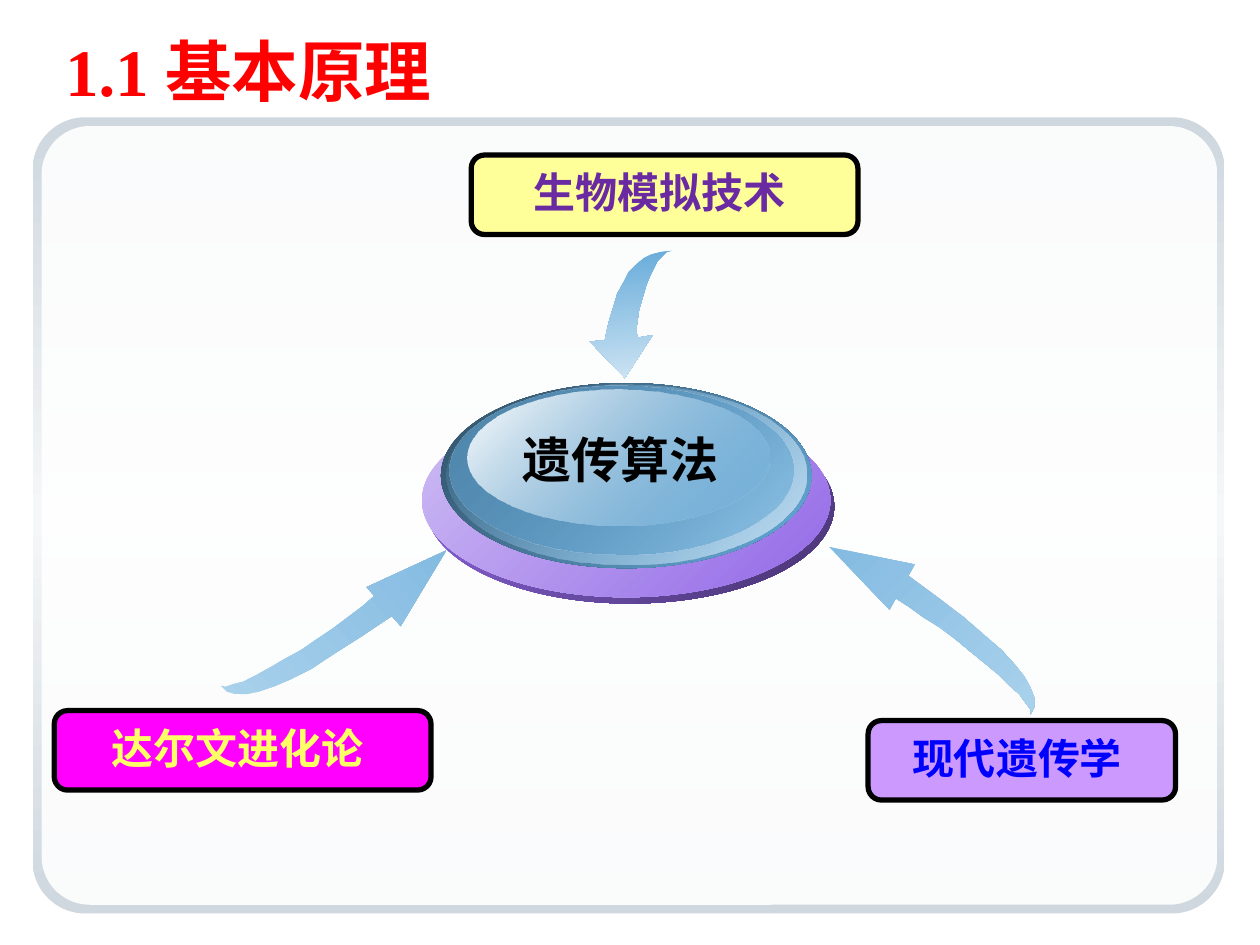
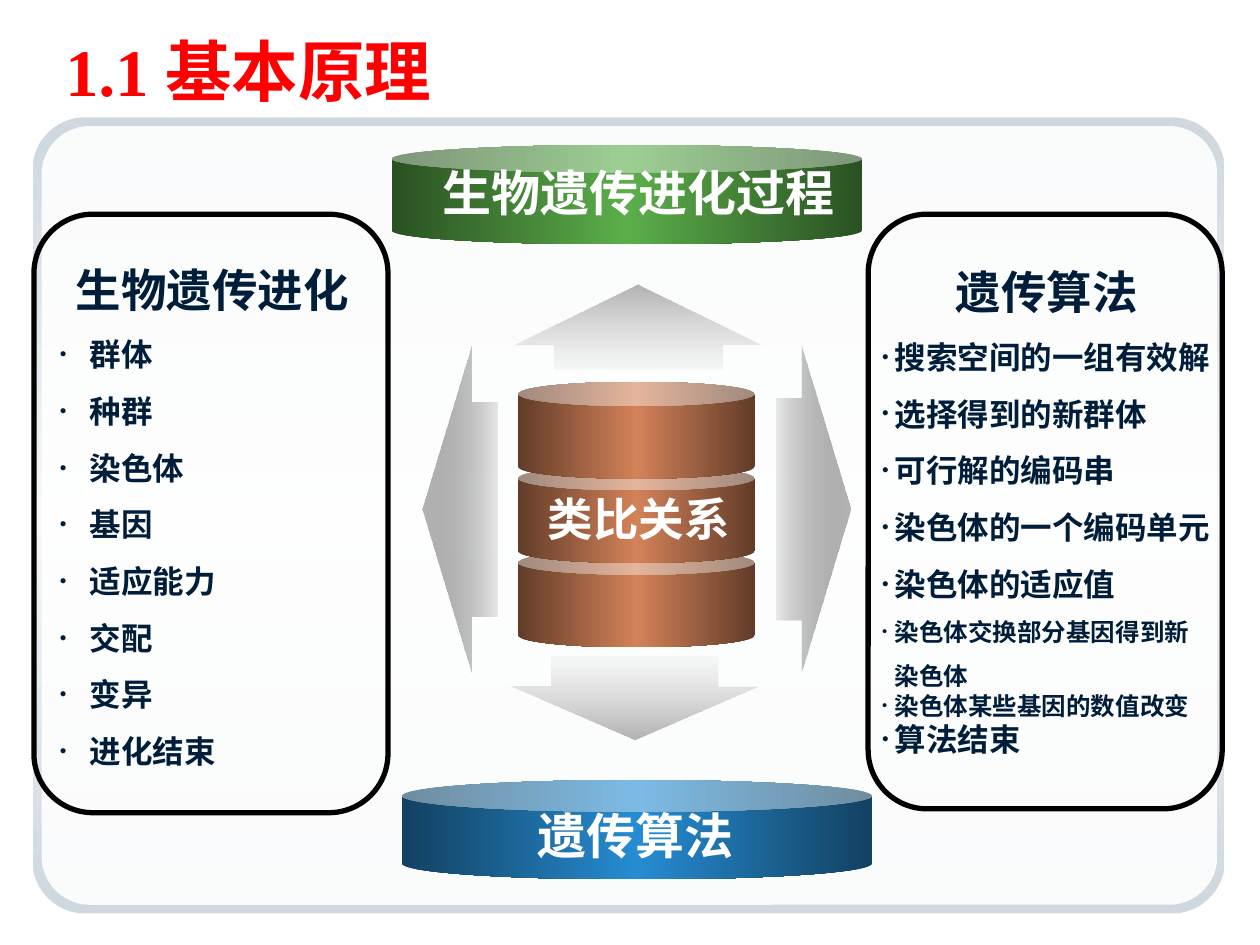
from lxml import etree
from pptx import Presentation
from pptx.dml.color import RGBColor
from pptx.enum.shapes import MSO_SHAPE
from pptx.enum.text import MSO_ANCHOR, MSO_AUTO_SIZE, PP_ALIGN
from pptx.oxml.ns import qn
from pptx.util import Pt

ROUNDED, OVAL, CAN = MSO_SHAPE.ROUNDED_RECTANGLE, MSO_SHAPE.OVAL, MSO_SHAPE.CAN
UP, DOWN = MSO_SHAPE.UP_ARROW, MSO_SHAPE.DOWN_ARROW
LEFT, RIGHT = MSO_SHAPE.LEFT_ARROW, MSO_SHAPE.RIGHT_ARROW
ALIGN_LEFT, ALIGN_CENTER = PP_ALIGN.LEFT, PP_ALIGN.CENTER
TOP, MIDDLE = MSO_ANCHOR.TOP, MSO_ANCHOR.MIDDLE
NO_AUTOFIT = MSO_AUTO_SIZE.NONE
TITLE_ONLY, TWO_CONTENT = 5, 3

COLORS = {
    "title": "FF0000", "black": "000000", "white": "FFFFFF", "navy": "001D3A",
    "frame": "CFD7DF", "frame_mid": "F5F7F8",
    "violet": "9369E7", "violet_dark": "473370", "violet_light": "CFBDF4",
    "sky": "66ABDA", "sky_dark": "2F4F65", "sky_mid": "5187AD",
    "sky_light": "CAE2F2", "sky_pale": "CEE4F3",
    "arrow_head": "84BBE1", "arrow_tail": "A9D1EC",
    "magenta": "FF00FF", "lemon": "FFFF66", "lilac": "CC99FF",
    "blue": "0000FF", "yellow": "FFFF99", "purple": "692AA2",
    "green": "5BAE4A", "green_dark": "2A5122",
    "azure": "268CD2", "azure_dark": "124161",
    "copper": "D38259", "copper_dark": "623C29",
    "silver": "B2B2B2", "silver_light": "CECECE", "gray": "525252",
}
EAST_ASIAN_FONT = "Noto Sans CJK SC"

# Curved arrow outlines, in hundredths of an inch on the slide
GENETICS_ARROW = [
    (818, 567), (821, 561), (821, 554), (818, 546), (813, 537), (805, 527),
    (795, 516), (781, 504), (765, 490), (744, 474), (721, 457), (726, 448),
    (658, 434), (706, 484), (711, 475), (722, 482), (733, 490), (746, 498),
    (758, 507), (770, 517), (781, 526), (792, 535), (801, 544), (809, 551),
    (814, 558), (818, 563)]
SIMULATION_ARROW = [
    (533, 199), (525, 200), (517, 202), (511, 205), (505, 210), (499, 216),
    (495, 224), (490, 233), (487, 243), (483, 256), (480, 270), (468, 271),
    (496, 300), (518, 266), (506, 268), (505, 262), (506, 255), (507, 247),
    (509, 240), (511, 233), (513, 226), (516, 219), (519, 213), (522, 207),
    (526, 203), (529, 200)]
DARWIN_ARROW = [
    (175, 544), (180, 549), (187, 551), (195, 551), (205, 549), (217, 545),
    (231, 539), (247, 531), (265, 519), (287, 505), (311, 489), (318, 497),
    (354, 437), (291, 466), (297, 473), (288, 481), (276, 490), (264, 499),
    (252, 507), (239, 516), (226, 523), (214, 530), (203, 536), (193, 541),
    (185, 543), (179, 545)]


def rgb(name):
    return RGBColor.from_string(COLORS[name])


def write(paragraph, text, *, size, color, font="Arial", align=ALIGN_CENTER,
          line=None, bullet=False, hang=0):
    """Fill a paragraph with one bold run and its format."""
    paragraph.alignment = align
    paragraph.space_before = paragraph.space_after = Pt(0)
    if line:
        paragraph.line_spacing = Pt(line)
    run = paragraph.add_run()
    run.text = text
    run.font.size, run.font.bold, run.font.name = Pt(size), True, font
    run.font.color.rgb = rgb(color)
    latin = run.font._element.find(qn("a:latin"))
    east_asian = etree.Element(qn("a:ea"), typeface=EAST_ASIAN_FONT)
    latin.addnext(east_asian)

    properties = paragraph._p.get_or_add_pPr()
    properties.set("marL", str(Pt(hang)))
    properties.set("indent", str(-Pt(hang)))
    if bullet:
        bullet_color = etree.SubElement(properties, qn("a:buClr"))
        etree.SubElement(bullet_color, qn("a:srgbClr"), val=COLORS[color])
        etree.SubElement(properties, qn("a:buSzPct"), val="60000")
        etree.SubElement(properties, qn("a:buChar"), char="•")
    else:
        etree.SubElement(properties, qn("a:buNone"))


class Deck:
    """Holds the shared style and the slide being drawn."""

    def __init__(self):
        self.file = Presentation()
        self.file.slide_width, self.file.slide_height = Pt(720), Pt(540)
        self.slide = None

    def new_slide(self, layout, title):
        self.slide = self.file.slides.add_slide(self.file.slide_layouts[layout])
        self.shape(ROUNDED, (18.7, 67, 681.1, 455), adjust=[0.066], angle=90,
                   stops=[(0, "frame"), (50, "frame_mid"), (100, "frame")])
        self.shape(ROUNDED, (23.8, 72, 671.8, 445), adjust=[0.062],
                   stops=[(0, "white", 90), (100, "white", 90)])
        frame = self.placeholder(0, (30.2, 17.4, 671.8, 44.6), MIDDLE)
        write(frame.paragraphs[0], title, size=38, color="title",
              font="Times New Roman", align=ALIGN_LEFT)

    def placeholder(self, index, box, anchor):
        """Move a placeholder to its box, in front of what is drawn so far."""
        holder = self.slide.placeholders[index]
        holder.left, holder.top, holder.width, holder.height = map(Pt, box)
        self.slide.shapes._spTree.append(holder._element)
        frame = holder.text_frame
        frame.auto_size, frame.vertical_anchor = NO_AUTOFIT, anchor
        frame.word_wrap = True
        return frame

    def paint(self, shape, fill=None, stops=None, angle=0, line=None):
        """Solid, gradient or empty fill; angle runs clockwise."""
        shape.shadow.inherit = False
        if stops:
            shape.fill.gradient()
            shape.fill.gradient_angle = -angle % 360
            stop_list = shape._element.spPr.find(qn("a:gradFill")).find(qn("a:gsLst"))
            for old in list(stop_list):
                stop_list.remove(old)
            for position, color, *alpha in stops:
                stop = etree.SubElement(stop_list, qn("a:gs"), pos=str(position * 1000))
                value = etree.SubElement(stop, qn("a:srgbClr"), val=COLORS[color])
                for percent in alpha:
                    etree.SubElement(value, qn("a:alpha"), val=str(percent * 1000))
        elif fill:
            shape.fill.solid()
            shape.fill.fore_color.rgb = rgb(fill)
        else:
            shape.fill.background()
        if line:
            shape.line.color.rgb = rgb(line)
            shape.line.width = Pt(3)
        else:
            shape.line.fill.background()

    def shape(self, kind, box, adjust=(), **look):
        shape = self.slide.shapes.add_shape(kind, *map(Pt, box))
        for number, value in enumerate(adjust):
            shape.adjustments[number] = value
        self.paint(shape, **look)
        return shape

    def outline(self, points, **look):
        builder = self.slide.shapes.build_freeform(*points[0], scale=Pt(0.72))
        builder.add_line_segments(points[1:], close=True)
        self.paint(builder.convert_to_shape(), **look)

    def label(self, text, box, **style):
        """One line of text, centred in its box with no side margins."""
        frame = self.slide.shapes.add_textbox(*map(Pt, box)).text_frame
        frame.margin_left = frame.margin_right = Pt(0)
        frame.word_wrap, frame.vertical_anchor = False, MIDDLE
        write(frame.paragraphs[0], text, **style)

    def pill(self, text, box, fill, color):
        frame = self.shape(ROUNDED, box, fill=fill, line="black").text_frame
        frame.margin_left, frame.margin_right = Pt(0), Pt(5.5)
        frame.margin_top, frame.margin_bottom = Pt(2), Pt(5)
        frame.vertical_anchor = MIDDLE
        write(frame.paragraphs[0], text, size=24, color=color)

    def can(self, box, edge, middle, adjust):
        self.shape(CAN, box, adjust=[adjust],
                   stops=[(0, edge), (50, middle), (100, edge)])

    def card(self, index, box, list_box, heading, items, hang, heading_hang=0):
        """Outlined card; items are (text, size, line height)."""
        self.shape(ROUNDED, box, line="black")
        frame = self.placeholder(index, list_box, TOP)
        style = {"color": "navy", "font": "DejaVu Sans"}
        write(frame.paragraphs[0], heading, size=26, line=32,
              hang=heading_hang, **style)
        for text, size, line in items:
            write(frame.add_paragraph(), text, size=size, line=line,
                  align=ALIGN_LEFT, bullet=True, hang=hang, **style)


def draw_foundations(deck):
    deck.new_slide(TITLE_ONLY, "1.1 基本原理")

    # Central disc, from the base up
    for box, *stops in [
        ((243.4, 234, 233.3, 110.9), (0, "violet"), (100, "violet_dark")),
        ((241.2, 230.4, 233.3, 110.9), (0, "violet_light"), (100, "violet")),
        ((252, 218.9, 211.7, 105.8), (0, "sky_dark"), (100, "sky")),
        ((254.9, 219.6, 205.9, 103), (0, "sky", 0), (100, "sky_light")),
        ((257, 220.3, 196.6, 96.5), (0, "sky_mid"), (100, "sky", 48)),
        ((267.1, 222.5, 172.8, 77.8), (0, "white"), (100, "sky", 38)),
    ]:
        deck.shape(OVAL, box, stops=stops, angle=45)
    deck.label("遗传算法", (290, 241.9, 128.9, 41), size=28, color="black",
               font=EAST_ASIAN_FONT)

    # Three sources
    deck.pill("达尔文进化论", (31, 406.1, 215.3, 45.4), "magenta", "lemon")
    deck.pill("现代遗传学", (496.1, 411.8, 175.7, 45.4), "lilac", "blue")
    deck.pill("生物模拟技术", (269.3, 88.6, 221, 45.4), "yellow", "purple")

    # Arrows to the disc
    deck.outline(GENETICS_ARROW, angle=45,
                 stops=[(0, "arrow_head"), (100, "arrow_tail")])
    deck.outline(SIMULATION_ARROW, angle=85,
                 stops=[(0, "sky"), (100, "sky_pale")])
    deck.outline(DARWIN_ARROW, angle=319,
                 stops=[(0, "arrow_tail"), (100, "arrow_head")])


def draw_analogy(deck):
    deck.new_slide(TWO_CONTENT, "1.1 基本原理")

    # Cards with the matching terms
    terms = ["群体", "种群", "染色体", "基因", "适应能力", "交配", "变异", "进化结束"]
    deck.card(1, (19.4, 122.4, 202.3, 342), (27, 145.2, 188.6, 319.7),
              "生物遗传进化", [(term, 18, 32.4) for term in terms], hang=17)
    meanings = ["搜索空间的一组有效解", "选择得到的新群体", "可行解的编码串",
                "染色体的一个编码单元", "染色体的适应值"]
    deck.card(2, (496.1, 122.4, 202.3, 339.8), (496.8, 146.7, 203, 289.4),
              "遗传算法",
              [(meaning, 18, 32.4) for meaning in meanings]
              + [("染色体交换部分基因得到新染色体", 14, 25.2),
                 ("染色体某些基因的数值改变", 14, 17),
                 ("算法结束", 18, 21.5)],
              hang=7.2, heading_hang=7.2)

    # Process above, algorithm below
    deck.can((223.9, 82.8, 268.6, 56.9), "green_dark", "green", 0.279)
    deck.label("生物遗传进化过程", (246.2, 89.3, 237.6, 41), size=28, color="white")
    deck.can((229.7, 445.7, 268.6, 56.9), "azure_dark", "azure", 0.32)
    deck.label("遗传算法", (300.2, 456.5, 126, 41), size=28, color="white")

    # Stack of cans, from the bottom up
    for level in range(3):
        deck.can((295.9, 314.6 - 48.2 * level, 135.4, 55.4),
                 "copper_dark", "copper", 0.25)

    # Arrows in four directions
    for kind, box, adjust, angle, *stops in [
        (DOWN, (291.6, 375.1, 141.8, 47.5), (0.671, 0.641), 90,
         (0, "silver_light", 12), (100, "silver")),
        (LEFT, (241.2, 197.3, 43.2, 187.2), (0.656, 0.652), 0,
         (0, "silver"), (100, "gray", 12)),
        (RIGHT, (443.5, 197.3, 42.5, 187.2), (0.677, 0.662), 0,
         (0, "gray", 12), (100, "silver")),
        (UP, (293.8, 162.7, 141.1, 48.2), (0.684, 0.708), 90,
         (0, "silver"), (100, "silver_light", 12)),
    ]:
        deck.shape(kind, box, adjust=adjust, stops=stops, angle=angle)
    deck.label("类比关系", (306, 276.5, 118, 38.9), size=26, color="white")


def main():
    deck = Deck()
    draw_foundations(deck)
    draw_analogy(deck)
    deck.file.save("out.pptx")


if __name__ == "__main__":
    main()
